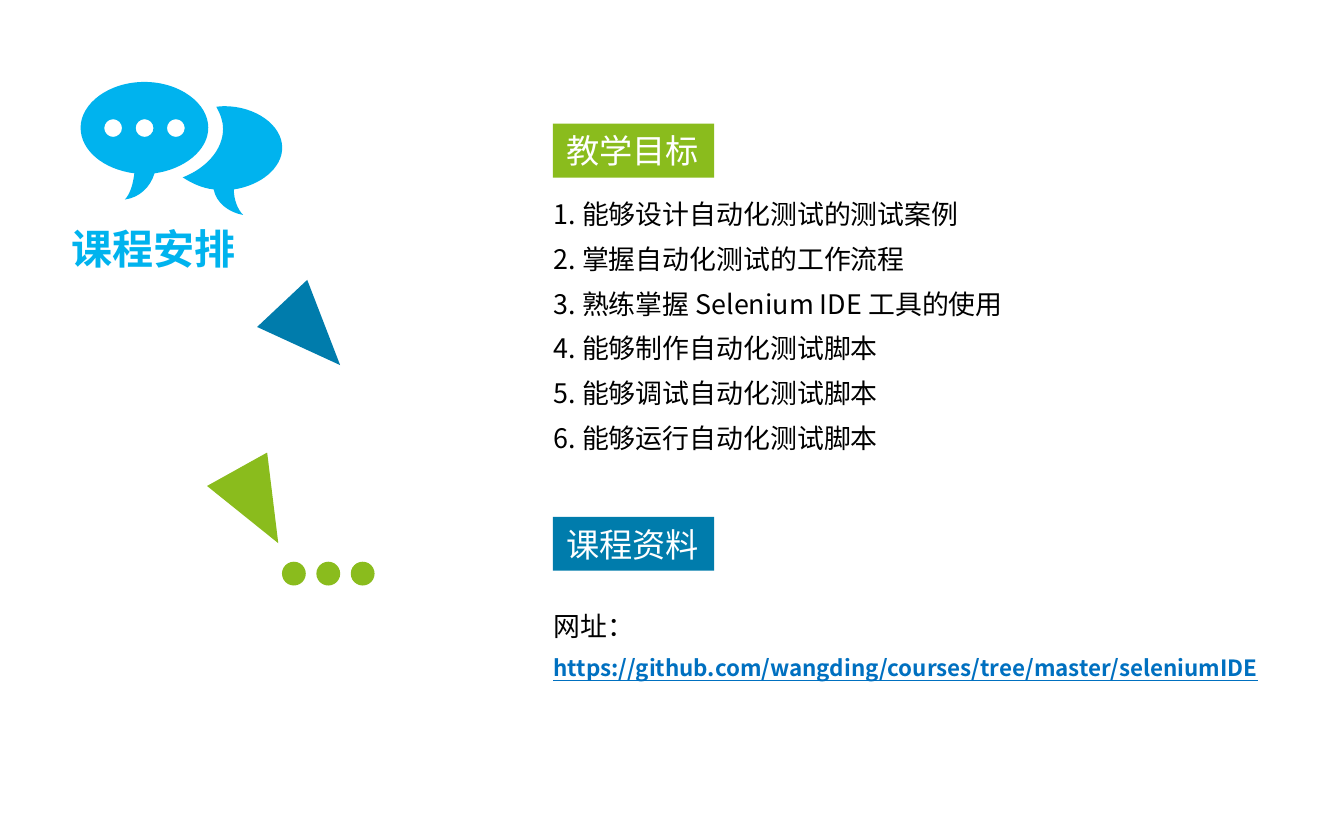
from lxml.etree import SubElement
from pptx import Presentation
from pptx.dml.color import RGBColor
from pptx.enum.shapes import MSO_SHAPE as Shape
from pptx.enum.text import MSO_ANCHOR as Anchor, MSO_AUTO_SIZE as AutoSize, PP_ALIGN as Align
from pptx.oxml.ns import qn
from pptx.util import Cm, Pt

CYAN = RGBColor(0x00, 0xB3, 0xEE)
BLUE = RGBColor(0x00, 0x7C, 0xAC)
GREEN = RGBColor(0x8A, 0xBC, 0x1D)
LINK = RGBColor(0x00, 0x70, 0xC0)
BLACK = RGBColor(0x00, 0x00, 0x00)
WHITE = RGBColor(0xFF, 0xFF, 0xFF)

HEADING = {"size": Pt(22), "name": "Noto Sans CJK SC", "bold": True, "color": CYAN}
LABEL = {"size": Pt(17.8), "name": "Noto Sans CJK KR", "color": WHITE}
BODY = {"size": Pt(14.4), "name": "Noto Sans CJK KR", "color": BLACK}
ADDRESS = {"size": Pt(12), "name": "Noto Sans CJK JP", "bold": True, "underline": True, "color": LINK}
PLAIN = {"alignment": Align.LEFT, "space_before": Pt(0)}
SPACED = {"alignment": Align.JUSTIFY, "space_before": Pt(0), "space_after": Pt(6.7), "line_spacing": 1.0}


def write(box, lines, layout, anchor=Anchor.TOP, wrap=True):
    frame = box.text_frame
    frame.word_wrap = wrap
    frame.auto_size = AutoSize.NONE
    frame.vertical_anchor = anchor
    for index, (text, style) in enumerate(lines):
        para = frame.add_paragraph() if index else frame.paragraphs[0]
        for name, value in layout.items():
            setattr(para, name, value)
        properties = para._p.get_or_add_pPr()
        properties.set("marL", "0")
        properties.set("indent", "0")
        SubElement(properties, qn("a:buNone"))
        span = para.add_run()
        span.text = text
        for name, value in style.items():
            if name == "color":
                span.font.color.rgb = value
            else:
                setattr(span.font, name, value)
        SubElement(span._r.get_or_add_rPr(), qn("a:ea")).set("typeface", style["name"])


def paint(shape, color):
    shape.shadow.inherit = False
    shape.fill.solid()
    shape.fill.fore_color.rgb = color
    shape.line.fill.background()


deck = Presentation()
deck.slide_width, deck.slide_height = Cm(25.4), Cm(15.88)
page = deck.slides.add_slide(deck.slide_layouts[1])
shapes = page.shapes

for left, top, angle, color in [(5.23, 5.52, 136.8, BLUE), (4.22, 8.77, 150.9, GREEN)]:
    triangle = shapes.add_shape(Shape.ISOSCELES_TRIANGLE, Cm(left), Cm(top), Cm(1.3), Cm(1.6))
    triangle.rotation = angle
    paint(triangle, color)

# Bézier outlines in hundredths of an inch: a start, then two controls and an end per curve
outlines = [
    [(155, 95),
     (155, 77), (134, 61), (107.5, 61), (81, 61), (60, 77), (60, 95),
     (60, 112), (77, 126), (100, 129), (99, 137), (97, 144), (93, 148.5),
     (104, 147), (112, 139), (115, 129), (137, 126), (155, 112), (155, 95)],
    [(174, 141),
     (174, 149), (177, 156), (181, 160), (170, 158), (161, 151), (159, 141),
     (150, 140), (142, 136), (136, 132), (154, 125), (166, 111), (166, 96),
     (166, 90), (164, 85), (161, 79.5), (163, 79.2), (165, 79), (167, 79),
     (190, 79), (210, 93), (210, 110), (210, 125), (194, 138), (174, 141)],
]
RADIUS, PULL = 6.6, 3.65
for center in (84.2, 107.6, 130.9):
    ring = [(RADIUS, 0)]
    x, y = 1, 0
    for quarter in range(4):
        next_x, next_y = y, -x
        ring += [
            (RADIUS * x + PULL * next_x, RADIUS * y + PULL * next_y),
            (RADIUS * next_x + PULL * x, RADIUS * next_y + PULL * y),
            (RADIUS * next_x, RADIUS * next_y),
        ]
        x, y = next_x, next_y
    outlines.append([(center + dx, 95.3 + dy) for dx, dy in ring])

outlines = [[(x * 25.4, y * 25.4) for x, y in points] for points in outlines]
builder = shapes.build_freeform(*outlines[0][0], scale=Cm(0.001))
for index, points in enumerate(outlines):
    if index:
        builder.move_to(*points[0])
    builder.add_line_segments(points[1:], close=False)
    builder.add_line_segments([], close=True)
chat = builder.convert_to_shape()
paint(chat, CYAN)

segments = list(chat._element.iter(qn("a:lnTo")))
for first in range(0, len(segments), 3):
    curve = segments[first].makeelement(qn("a:cubicBezTo"))
    segments[first].addprevious(curve)
    for segment in segments[first:first + 3]:
        curve.append(segment[0])
        segment.getparent().remove(segment)

for index in range(3):
    dot = shapes.add_shape(Shape.OVAL, Cm(5.33 + 0.65 * index), Cm(10.62), Cm(0.45), Cm(0.45))
    paint(dot, GREEN)

for text, top, color in [("教学目标", 2.34, GREEN), ("课程资料", 9.77, BLUE)]:
    label = shapes.add_shape(Shape.RECTANGLE, Cm(10.45), Cm(top), Cm(3.05), Cm(1.02))
    paint(label, color)
    write(label, [(text, LABEL)], PLAIN, Anchor.MIDDLE, wrap=False)

title, goals = shapes.title, page.placeholders[1]
materials = shapes.add_textbox(Cm(10.21), Cm(11.4), Cm(14.1), Cm(1.63))
for box, left, top, width, height in [(title, 1.09, 4.09, 3.66, 1.19), (goals, 10.21, 3.61, 14.1, 5.21)]:
    box.left, box.top, box.width, box.height = Cm(left), Cm(top), Cm(width), Cm(height)

write(title, [("课程安排", HEADING)], PLAIN, Anchor.MIDDLE, wrap=False)
targets = [
    "能够设计自动化测试的测试案例",
    "掌握自动化测试的工作流程",
    "熟练掌握 Selenium IDE 工具的使用",
    "能够制作自动化测试脚本",
    "能够调试自动化测试脚本",
    "能够运行自动化测试脚本",
]
write(goals, [(f"{number}. {target}", BODY) for number, target in enumerate(targets, 1)], SPACED)
write(materials, [
    ("网址：", BODY),
    ("https://github.com/wangding/courses/tree/master/seleniumIDE", ADDRESS),
], SPACED)

deck.save("out.pptx")
